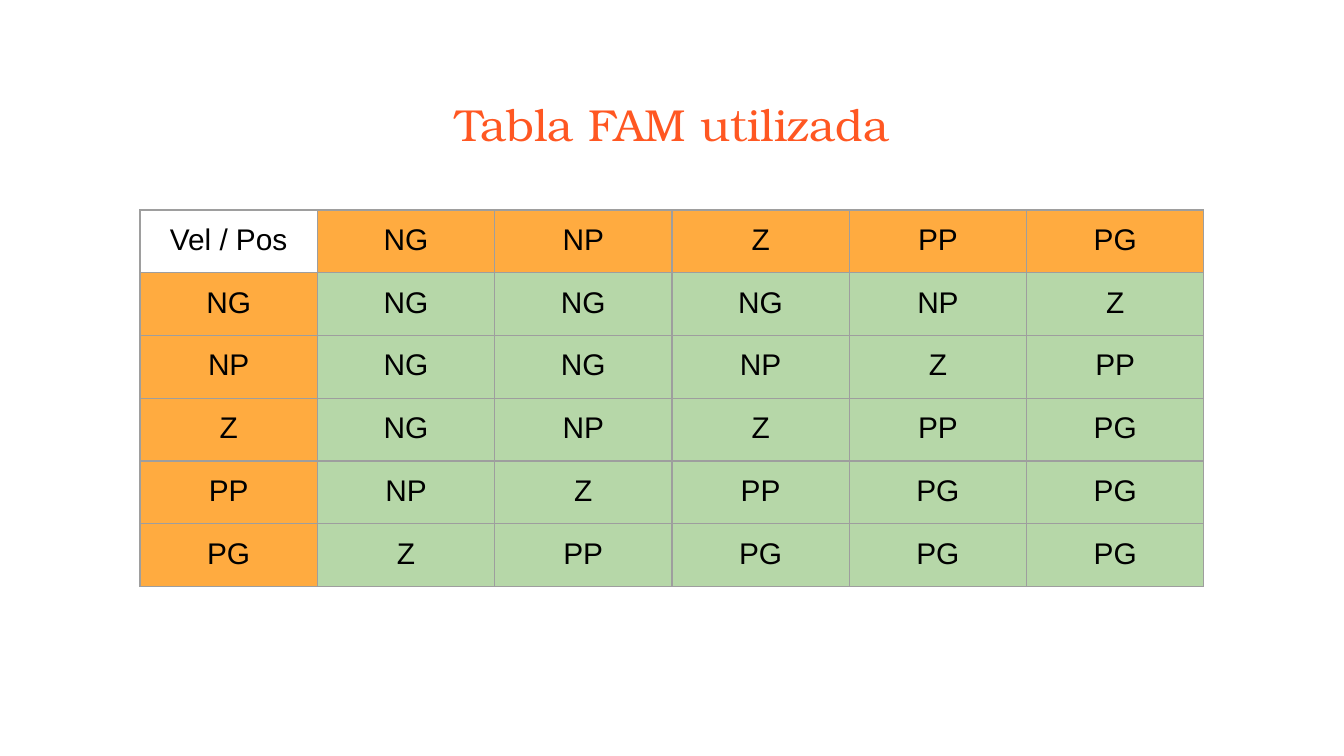
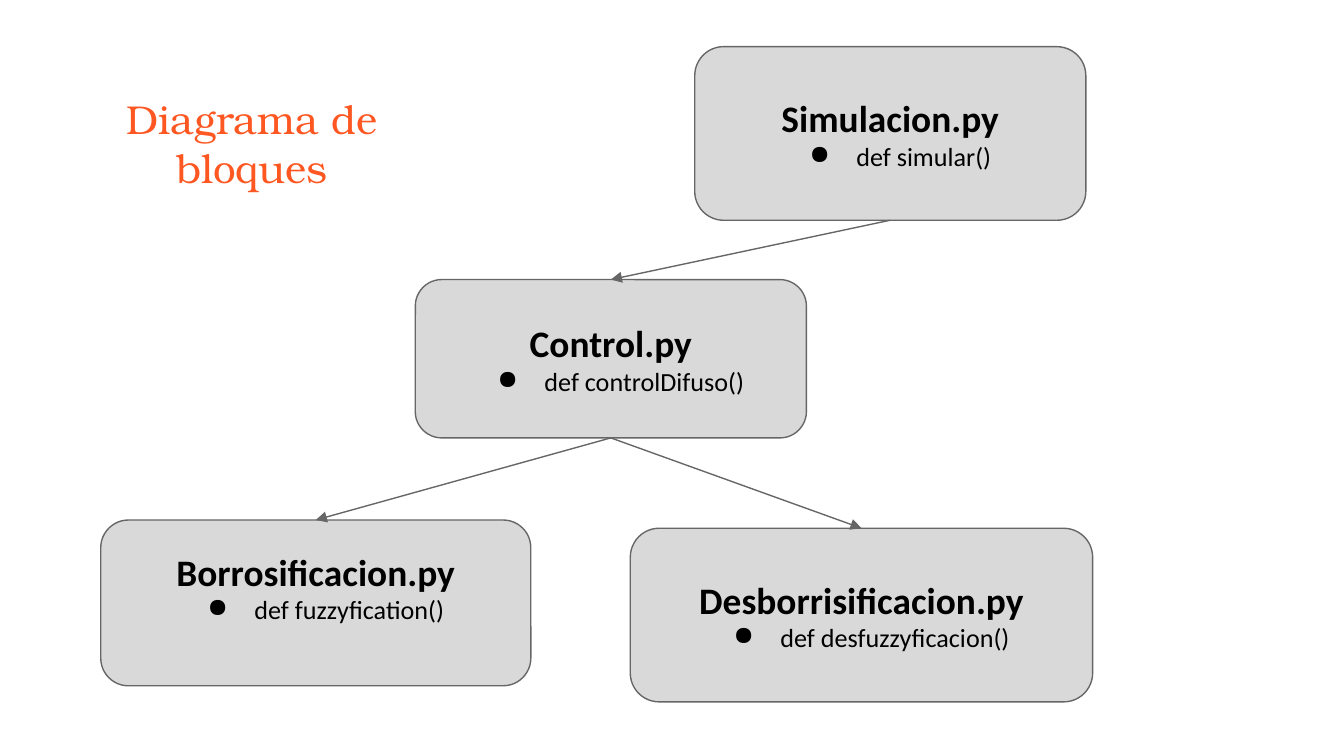
from lxml.etree import SubElement
from pptx import Presentation
from pptx.dml.color import RGBColor
from pptx.enum.shapes import MSO_CONNECTOR, MSO_SHAPE
from pptx.enum.text import MSO_ANCHOR, PP_ALIGN
from pptx.oxml.ns import qn
from pptx.util import Pt

TITLE_ORANGE = RGBColor(0xFF, 0x57, 0x22)
HEADER_ORANGE = RGBColor(0xFF, 0xAB, 0x40)
RULE_GREEN = RGBColor(0xB6, 0xD7, 0xA8)
GRID_GREY = RGBColor(0x9E, 0x9E, 0x9E)
BLOCK_GREY = RGBColor(0xD9, 0xD9, 0xD9)
LINE_GREY = RGBColor(0x66, 0x66, 0x66)
BLACK = RGBColor(0x00, 0x00, 0x00)

TITLE_FONT, TABLE_FONT, BLOCK_FONT = "TeX Gyre Bonum", "Arial", "Calibri"
INSET = Pt(7.2)
THIN = Pt(0.75)
TOP_SITE, BOTTOM_SITE = 0, 2

FAM_ROWS = [
    "Vel / Pos,NG,NP,Z,PP,PG",
    "NG,NG,NG,NG,NP,Z",
    "NP,NG,NG,NP,Z,PP",
    "Z,NG,NP,Z,PP,PG",
    "PP,NP,Z,PP,PG,PG",
    "PG,Z,PP,PG,PG,PG",
]

MODULES = {
    "Simulacion.py": ("def simular()", (372.2, 25, 209.5, 93), 0),
    "Borrosificacion.py": ("def fuzzyfication()", (54, 278.6, 230.4, 88.8), 17),
    "Desborrisificacion.py": ("def desfuzzyficacion()", (337.7, 283, 247.7, 93), 0),
    "Control.py": ("def controlDifuso()", (222.5, 149.8, 209.5, 84.8), 0),
}

CALLS = [
    ("Simulacion.py", "Control.py"),
    ("Control.py", "Borrosificacion.py"),
    ("Control.py", "Desborrisificacion.py"),
]


def add_run(paragraph, text, font, size, color, bold=False):
    """Append one centred, styled run to the paragraph."""
    paragraph.alignment = PP_ALIGN.CENTER
    run = paragraph.add_run()
    run.text = text
    run.font.name = font
    run.font.size = Pt(size)
    run.font.bold = bold
    run.font.color.rgb = color


def set_frame(frame, anchor):
    """Wrap the text frame with equal insets and the given anchor."""
    frame.word_wrap = True
    frame.vertical_anchor = anchor
    frame.margin_left = frame.margin_right = INSET
    frame.margin_top = frame.margin_bottom = INSET


def add_title(slide, box, text, size):
    """Place the slide title on the bottom edge of its box."""
    title = slide.shapes.add_textbox(*map(Pt, box))
    set_frame(title.text_frame, MSO_ANCHOR.BOTTOM)
    add_run(title.text_frame.paragraphs[0], text, TITLE_FONT, size, TITLE_ORANGE)


def add_cell_borders(cell):
    """Draw a thin grey line on all four sides of the cell."""
    properties = cell._tc.get_or_add_tcPr()
    for side in ("a:lnL", "a:lnR", "a:lnT", "a:lnB"):
        border = SubElement(properties, qn(side), w=str(THIN))
        fill = SubElement(border, qn("a:solidFill"))
        SubElement(fill, qn("a:srgbClr"), val=str(GRID_GREY))


def add_fam_table(slide, box):
    """Fill the box with the evenly divided rule table."""
    rules = [row.split(",") for row in FAM_ROWS]
    left, top, width, height = box
    table = slide.shapes.add_table(len(rules), len(rules[0]), *map(Pt, box)).table
    table.first_row = table.horz_banding = False
    for column in table.columns:
        column.width = Pt(width / len(rules[0]))
    for row in table.rows:
        row.height = Pt(height / len(rules))
    for i, labels in enumerate(rules):
        for j, label in enumerate(labels):
            cell = table.cell(i, j)
            cell.margin_left = cell.margin_right = INSET
            cell.margin_top = cell.margin_bottom = INSET
            add_run(cell.text_frame.paragraphs[0], label, TABLE_FONT, 16, BLACK)
            add_cell_borders(cell)
            if i == j == 0:
                cell.fill.background()
            else:
                cell.fill.solid()
                cell.fill.fore_color.rgb = RULE_GREEN if i and j else HEADER_ORANGE


def add_bullet(paragraph):
    """Give the paragraph a hanging black bullet."""
    properties = paragraph._p.get_or_add_pPr()
    properties.set("marL", str(Pt(36)))
    properties.set("indent", str(Pt(-25.2)))
    color = SubElement(properties, qn("a:buClr"))
    SubElement(color, qn("a:srgbClr"), val=str(BLACK))
    SubElement(properties, qn("a:buChar"), char="●")


def add_module(slide, box, name, function, lift):
    """Draw a module block with its name and function, raised by extra bottom inset."""
    block = slide.shapes.add_shape(MSO_SHAPE.ROUNDED_RECTANGLE, *map(Pt, box))
    block.shadow.inherit = False
    block.fill.solid()
    block.fill.fore_color.rgb = BLOCK_GREY
    block.line.color.rgb = LINE_GREY
    block.line.width = THIN
    frame = block.text_frame
    set_frame(frame, MSO_ANCHOR.MIDDLE)
    frame.margin_bottom = INSET + Pt(lift)
    add_run(frame.paragraphs[0], name, BLOCK_FONT, 20, BLACK, bold=True)
    entry = frame.add_paragraph()
    add_bullet(entry)
    add_run(entry, function, BLOCK_FONT, 14, BLACK)
    return block


def add_call(slide, caller, callee):
    """Join the caller's bottom to the callee's top with an arrow."""
    arrow = slide.shapes.add_connector(MSO_CONNECTOR.STRAIGHT, 0, 0, 0, 0)
    arrow.begin_connect(caller, BOTTOM_SITE)
    arrow.end_connect(callee, TOP_SITE)
    arrow.line.color.rgb = LINE_GREY
    arrow.line.width = THIN
    properties = arrow._element.spPr
    SubElement(properties.find(qn("a:ln")), qn("a:tailEnd"), type="triangle")
    SubElement(properties, qn("a:effectLst"))


def build_fam_slide(slide):
    """Lay out the rule table slide."""
    add_title(slide, (213, 28, 294.5, 60), "Tabla FAM utilizada", 24)
    add_fam_table(slide, (75, 112.5, 570, 192.9))


def build_block_slide(slide):
    """Lay out the block diagram slide."""
    add_title(slide, (24.5, 49.7, 221, 60), "Diagrama de bloques", 21.6)
    blocks = {
        name: add_module(slide, box, name, function, lift)
        for name, (function, box, lift) in MODULES.items()
    }
    for caller, callee in CALLS:
        add_call(slide, blocks[caller], blocks[callee])


def main():
    """Build both slides and save the deck."""
    deck = Presentation()
    deck.slide_width, deck.slide_height = Pt(720), Pt(405)
    for build in (build_fam_slide, build_block_slide):
        build(deck.slides.add_slide(deck.slide_layouts[6]))
    deck.save("out.pptx")


if __name__ == "__main__":
    main()
